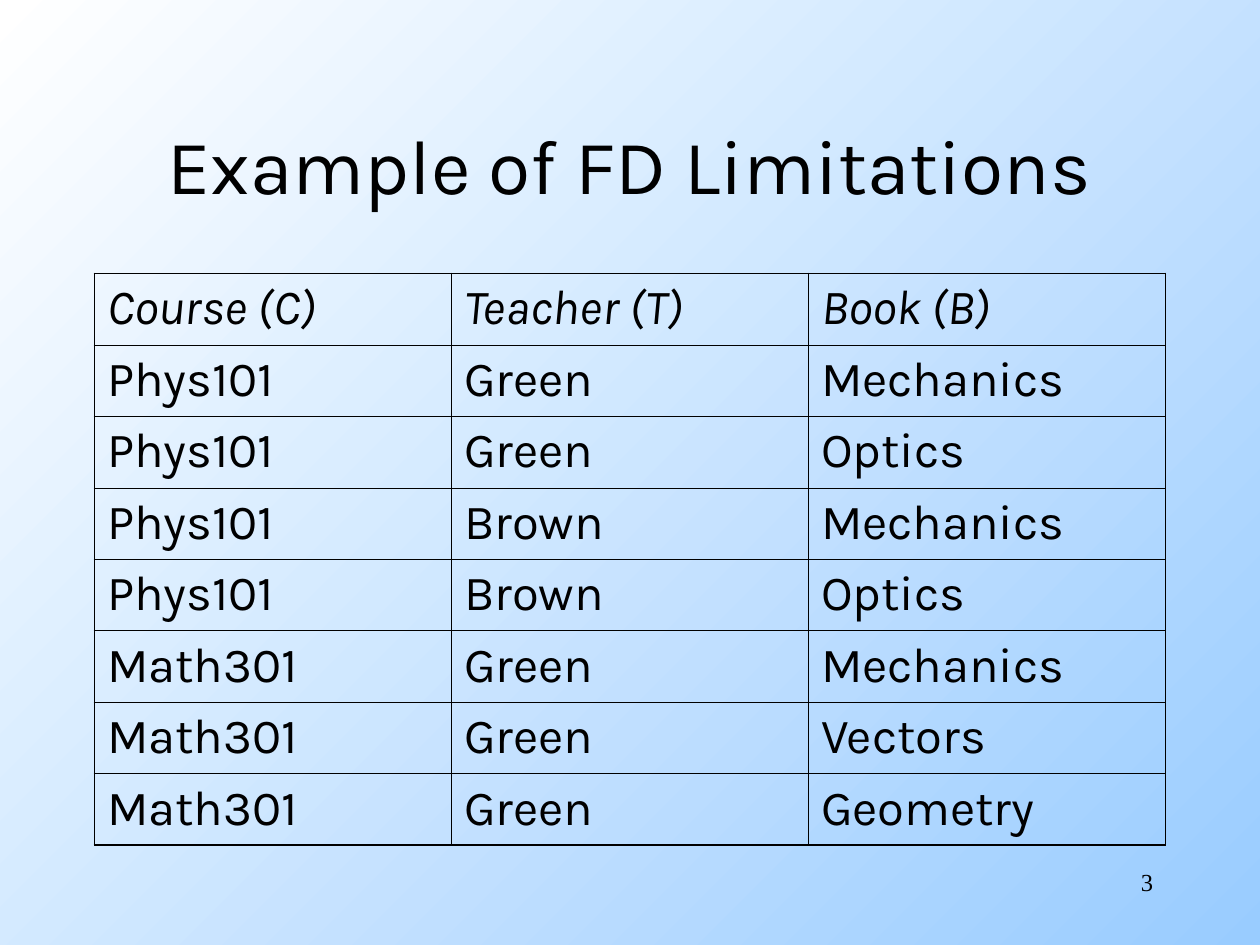
"""Build a slide with a course, teacher and book table showing FD limitations."""
from lxml.etree import SubElement
from pptx import Presentation
from pptx.dml.color import RGBColor
from pptx.enum.text import MSO_ANCHOR as Anchor, PP_ALIGN as Align
from pptx.oxml.ns import qn
from pptx.util import Inches, Pt

TITLE = "Example of FD Limitations"
PAGE = "3"
ROWS = [
    ("Course (C)", "Teacher (T)", "Book (B)"),
    ("Phys101", "Green", "Mechanics"),
    ("Phys101", "Green", "Optics"),
    ("Phys101", "Brown", "Mechanics"),
    ("Phys101", "Brown", "Optics"),
    ("Math301", "Green", "Mechanics"),
    ("Math301", "Green", "Vectors"),
    ("Math301", "Green", "Geometry"),
]
COLORS = {"ink": "000000", "bg_start": "FFFFFF", "bg_end": "99CCFF"}
BODY_FONT, PAGE_FONT = "Karla", "Times New Roman"
OUTER, INNER = 1.08, 0.45


def write(tf, text, font, size, align=Align.LEFT, italic=False):
    tf.text = text
    p = tf.paragraphs[0]
    p.alignment = align
    f = p.runs[0].font
    f.name, f.size, f.italic, f.bold = font, Pt(size), italic, False
    f.color.rgb = RGBColor.from_string(COLORS["ink"])


def add_text(slide, box, text, font, size, align, anchor):
    tf = slide.shapes.add_textbox(*map(Inches, box)).text_frame
    tf.word_wrap = True
    tf.vertical_anchor = anchor
    write(tf, text, font, size, align)


def add_borders(cell, widths):
    tc_pr = cell._tc.get_or_add_tcPr()
    for side, width in widths.items():
        ln = SubElement(tc_pr, qn(f"a:ln{side}"), w=str(int(Pt(width))))
        fill = SubElement(ln, qn("a:solidFill"))
        SubElement(fill, qn("a:srgbClr"), val=COLORS["ink"])


def add_grid(slide, box):
    n_rows, n_cols = len(ROWS), len(ROWS[0])
    table = slide.shapes.add_table(n_rows, n_cols, *map(Inches, box)).table
    table.first_row = table.horz_banding = False
    for i, row in enumerate(ROWS):
        for j, text in enumerate(row):
            cell = table.cell(i, j)
            write(cell.text_frame, text, BODY_FONT, 28, italic=i == 0)
            edges = {"L": j == 0, "R": j == n_cols - 1,
                     "T": i == 0, "B": i == n_rows - 1}
            add_borders(cell, {side: OUTER if outer else INNER
                               for side, outer in edges.items()})
            cell.fill.background()


def main():
    prs = Presentation()
    prs.slide_width, prs.slide_height = Inches(10), Inches(7.5)
    s = prs.slides.add_slide(prs.slide_layouts[6])
    bg = s.background.fill
    bg.gradient()
    bg.gradient_angle = 315
    for stop, pos, name in zip(bg.gradient_stops, (0, 1), ("bg_start", "bg_end")):
        stop.position = pos
        stop.color.rgb = RGBColor.from_string(COLORS[name])
    add_text(s, (7.17, 6.83, 2.08, 0.5), PAGE, PAGE_FONT, 14, Align.RIGHT, Anchor.TOP)
    add_text(s, (0.75, 0.67, 8.5, 1.25), TITLE, BODY_FONT, 44, Align.CENTER, Anchor.MIDDLE)
    add_grid(s, (0.75, 2.17, 8.5, 4.54))
    prs.save("out.pptx")


if __name__ == "__main__":
    main()
